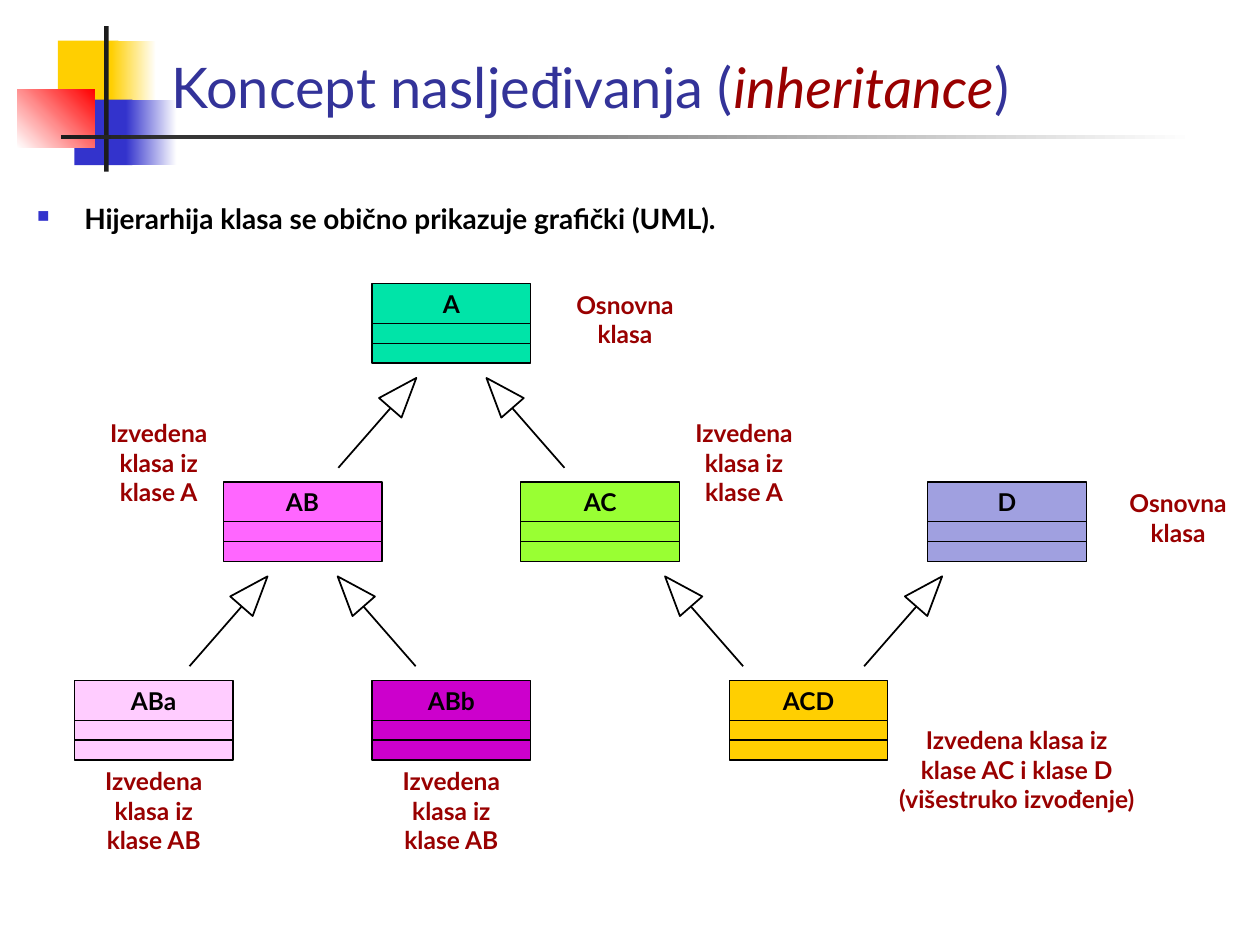
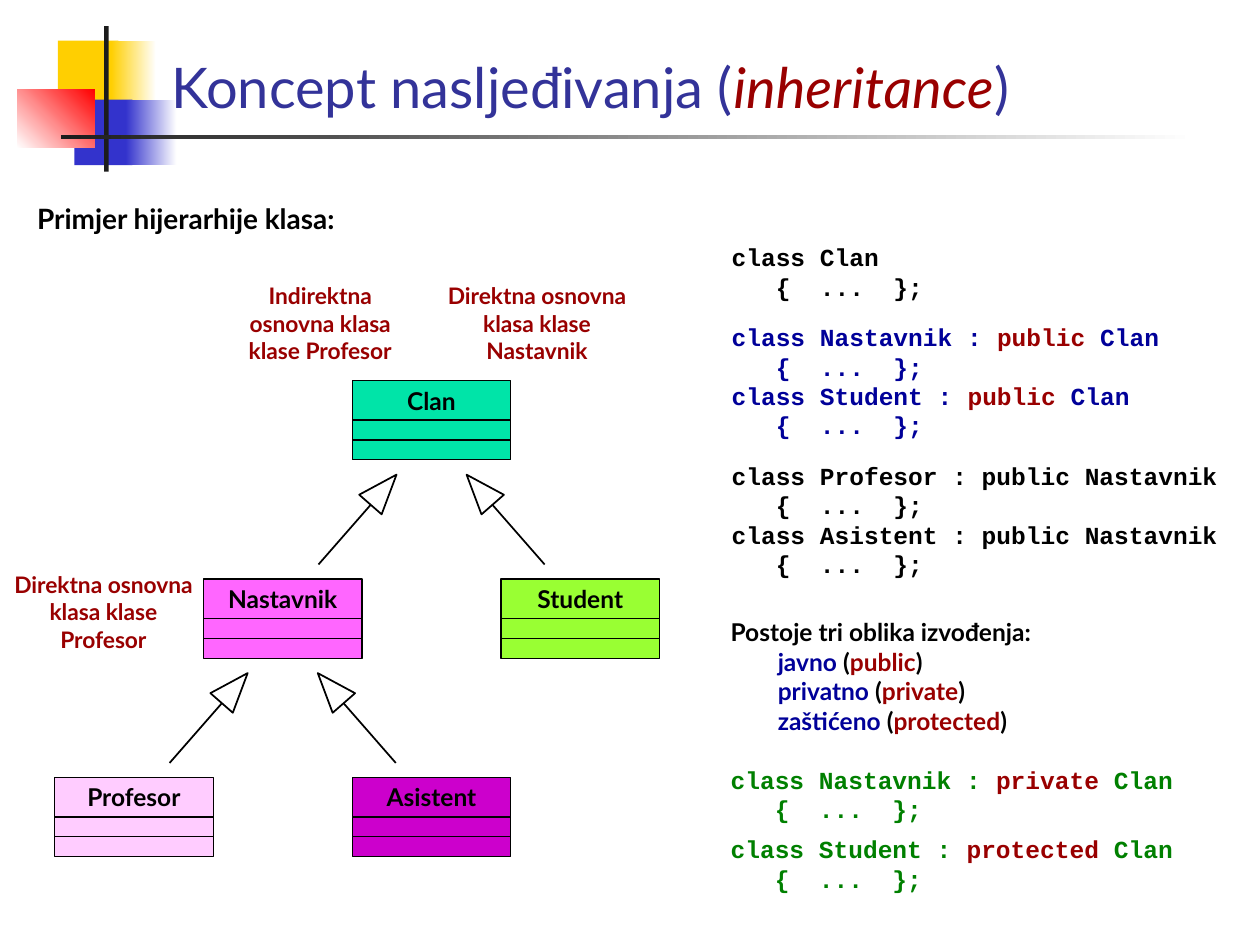
import dataclasses

import lxml.etree
import pptx
import pptx.dml.color
import pptx.enum.shapes
import pptx.enum.text
import pptx.oxml.ns
import pptx.util

Cm = pptx.util.Cm
Pt = pptx.util.Pt
RECTANGLE = pptx.enum.shapes.MSO_SHAPE.RECTANGLE
TRIANGLE = pptx.enum.shapes.MSO_SHAPE.ISOSCELES_TRIANGLE
STRAIGHT = pptx.enum.shapes.MSO_CONNECTOR.STRAIGHT
ALIGN = pptx.enum.text.PP_ALIGN
ANCHOR = pptx.enum.text.MSO_ANCHOR


@dataclasses.dataclass(frozen=True)
class Theme:
    sans: str = "Lato"
    mono: str = "Courier New"
    title_size: float = 32
    lead_size: float = 16
    body_size: float = 14
    small_size: float = 13
    code_leading: float = 16.8
    black: str = "000000"
    white: str = "FFFFFF"
    ink: str = "1C1C1C"
    title: str = "333399"
    accent: str = "990000"
    navy: str = "000099"
    green: str = "008000"
    blue: str = "3333CC"
    red: str = "FF0000"
    gold: str = "FFCF01"
    mint: str = "00E4A8"
    pink: str = "FF66FF"
    lime: str = "99FF33"
    blush: str = "FFCCFF"
    purple: str = "CC00CC"
    lavender: str = "A0A0E0"


def rgb(colour):
    return pptx.dml.color.RGBColor.from_string(colour)


class Slides:
    """Holds the theme and the current page, and draws each kind of element on it."""

    box_width = 3.2
    head_height = 0.8
    row_height = 0.4

    def __init__(self, theme):
        self.theme = theme
        self.deck = pptx.Presentation()
        self.deck.slide_width = Cm(25.4)
        self.deck.slide_height = Cm(19.05)
        self.page = None

    def new_page(self):
        theme = self.theme
        self.page = self.deck.slides.add_slide(self.deck.slide_layouts[6])
        self.rect(1.17, 0.82, 1.22, 1.32, theme.gold)
        self.fade(2.24, 0.82, 0.91, 1.32, theme.gold, theme.white)
        self.rect(1.5, 2.01, 1.17, 1.32, theme.blue)
        self.fade(2.54, 2.01, 1.02, 1.32, theme.blue, theme.white)
        self.fade(0.35, 1.8, 1.56, 1.18, theme.white, theme.red, 45)
        self.rect(2.1, 0.53, 0.09, 2.93, theme.ink)
        self.fade(1.23, 2.73, 22.86, 0.08, theme.ink, theme.white)
        frame = self.text_frame(3.2, 0.33, 22.2, 2.2)
        frame.vertical_anchor = ANCHOR.BOTTOM
        para = self.add_text(frame, ["Koncept nasljeđivanja (", ("inheritance", theme.accent), ")"],
                             theme.title_size, theme.title, bold=False)
        para.runs[1].font.italic = True

    def shape(self, kind, left, top, width, height):
        shape = self.page.shapes.add_shape(kind, Cm(left), Cm(top), Cm(width), Cm(height))
        shape.shadow.inherit = False
        return shape

    def outline(self, shape, weight):
        shape.line.color.rgb = rgb(self.theme.black)
        shape.line.width = Pt(weight)

    def rect(self, left, top, width, height, colour):
        shape = self.shape(RECTANGLE, left, top, width, height)
        shape.fill.solid()
        shape.fill.fore_color.rgb = rgb(colour)
        shape.line.fill.background()
        return shape

    def fade(self, left, top, width, height, start, end, angle=0):
        shape = self.rect(left, top, width, height, start)
        shape.fill.gradient()
        shape.fill.gradient_angle = angle
        for stop, colour, position in zip(shape.fill.gradient_stops, (start, end), (0, 1)):
            stop.color.rgb = rgb(colour)
            stop.position = position

    def text_frame(self, left, top, width, height):
        box = self.page.shapes.add_textbox(Cm(left), Cm(top), Cm(width), Cm(height))
        box.text_frame.word_wrap = True
        return box.text_frame

    def add_text(self, frame, spans, size, colour, font=None, bold=True, align=ALIGN.LEFT,
                 before=0, indent=0, bullet=False):
        first = frame.paragraphs[0]
        para = first if not first.runs else frame.add_paragraph()
        para.alignment = align
        if before:
            para.space_before = Pt(before)
        if font == self.theme.mono:
            para.line_spacing = Pt(self.theme.code_leading)
        properties = para._p.get_or_add_pPr()
        if indent:
            properties.set("marL", str(Cm(indent)))
        if bullet:
            properties.set("indent", str(-Cm(indent)))
            self.add_bullet(properties)
        para.font.name = font or self.theme.sans
        para.font.size = Pt(size)
        para.font.bold = bold
        mixed = any(isinstance(span, tuple) for span in spans)
        if not mixed:
            para.font.color.rgb = rgb(colour)
        for span in spans:
            text, tint = span if isinstance(span, tuple) else (span, colour)
            run = para.add_run()
            run.text = text
            if mixed:
                run.font.color.rgb = rgb(tint)
        return para

    def add_bullet(self, properties):
        qn = pptx.oxml.ns.qn
        tint = lxml.etree.SubElement(properties, qn("a:buClr"))
        lxml.etree.SubElement(tint, qn("a:srgbClr"), val=self.theme.blue)
        lxml.etree.SubElement(properties, qn("a:buSzPct"), val="60000")
        lxml.etree.SubElement(properties, qn("a:buChar"), char="■")

    def lead(self, text, bullet=False):
        frame = self.text_frame(0.5, 3.94, 24.2, 1.6)
        self.add_text(frame, [text], self.theme.lead_size, self.theme.black,
                      indent=0.95 if bullet else 0, bullet=bullet)

    def label(self, left, top, width, *lines, size=None):
        size = size or self.theme.body_size
        frame = self.text_frame(left, top, width, 2)
        for line in lines:
            self.add_text(frame, [line], size, self.theme.accent, align=ALIGN.CENTER)

    def class_box(self, left, top, name, colour):
        head = self.rect(left, top, self.box_width, self.head_height, colour)
        self.outline(head, 0.75)
        head.text_frame.word_wrap = False
        head.text_frame.vertical_anchor = ANCHOR.MIDDLE
        self.add_text(head.text_frame, [name], self.theme.body_size, self.theme.black,
                      align=ALIGN.CENTER)
        for row in range(2):
            row_top = top + self.head_height + row * self.row_height
            self.outline(self.rect(left, row_top, self.box_width, self.row_height, colour), 0.75)

    def inherit_arrow(self, left, top, side, spread=0):
        middle = left + self.box_width / 2
        tip = self.shape(TRIANGLE, middle + side * (0.97 + spread) - 0.3, top + 1.8, 0.6, 0.8)
        tip.rotation = -41.1 * side % 360
        tip.fill.background()
        self.outline(tip, 1)
        line = self.page.shapes.add_connector(
            STRAIGHT, Cm(middle + side * (1.23 + spread)), Cm(top + 2.51),
            Cm(middle + side * (2.28 + spread)), Cm(top + 3.71))
        self.outline(line, 1)
        lxml.etree.SubElement(line._element.spPr, pptx.oxml.ns.qn("a:effectLst"))

    def class_tree(self, left, top, names):
        theme = self.theme
        places = [(0, 0), (-3, 4), (3, 4), (-6, 8), (0, 8)]
        colours = [theme.mint, theme.pink, theme.lime, theme.blush, theme.purple]
        for name, (across, down), colour in zip(names, places, colours):
            self.class_box(left + across, top + down, name, colour)
        for across, down in places[:2]:
            for side in (-1, 1):
                self.inherit_arrow(left + across, top + down, side)

    def code(self, frame, head, colour, before=0):
        for spans, gap in ((head, before), (["   {  ...  };"], 0)):
            self.add_text(frame, spans, self.theme.body_size, colour, self.theme.mono, before=gap)


def uml_page(slides):
    theme = slides.theme
    left, top = 7.5, 5.72
    slides.new_page()
    slides.lead("Hijerarhija klasa se obično prikazuje grafički (UML).", bullet=True)
    slides.class_tree(left, top, ["A", "AB", "AC", "ABa", "ABb"])
    slides.class_box(left + 11.2, top + 4, "D", theme.lavender)
    slides.class_box(left + 7.2, top + 8, "ACD", theme.gold)
    slides.inherit_arrow(left + 3, top + 4, 1, spread=0.6)
    slides.inherit_arrow(left + 11.2, top + 4, -1, spread=0.6)
    for label_left, label_top, width in ((11.1, top, 3), (22.1, top + 4, 3.3)):
        slides.label(label_left, label_top, width, "Osnovna klasa")
    for label_left in (1.7, 13.5):
        slides.label(label_left, 8.31, 3, "Izvedena klasa iz klase A")
    for label_left in (left - 6, left):
        slides.label(label_left, 15.32, 3.2, "Izvedena klasa iz klase AB")
    slides.label(17.3, 14.5, 6.4, "Izvedena klasa iz", "klase AC i klase D",
                 "(višestruko izvođenje)")


def example_page(slides):
    theme = slides.theme
    slides.new_page()
    slides.lead("Primjer hijerarhije klasa:")
    slides.class_tree(7.1, 7.67, ["Clan", "Nastavnik", "Student", "Profesor", "Asistent"])
    for left, top, text in (
        (0, 11.38, "Direktna osnovna klasa klase Profesor"),
        (8.74, 5.56, "Direktna osnovna klasa klase Nastavnik"),
        (4.37, 5.56, "Indirektna osnovna klasa klase Profesor"),
    ):
        slides.label(left, top, 4.17, text, size=theme.small_size)

    def derived(name, access):
        return [f"class {name} : ", (access, theme.accent), " Clan"]

    frame = slides.text_frame(14.5, 4.76, 10.6, 7.2)
    slides.code(frame, ["class Clan"], theme.black)
    for name, gap in (("Nastavnik", 12), ("Student", 0)):
        slides.code(frame, derived(name, "public"), theme.navy, gap)
    for name, gap in (("Profesor", 12), ("Asistent", 0)):
        slides.code(frame, [f"class {name} : public Nastavnik"], theme.black, gap)

    frame = slides.text_frame(14.48, 12.32, 10.6, 6.3)
    slides.add_text(frame, ["Postoje tri oblika izvođenja:"], theme.body_size, theme.black)
    for word, access in (("javno", "public"), ("privatno", "private"),
                         ("zaštićeno", "protected")):
        slides.add_text(frame, [(word, theme.navy), " (", (access, theme.accent), ")"],
                        theme.body_size, theme.black, indent=0.95)
    slides.code(frame, derived("Nastavnik", "private"), theme.green, 17)
    slides.code(frame, derived("Student", "protected"), theme.green, 6)


def main():
    slides = Slides(Theme())
    uml_page(slides)
    example_page(slides)
    slides.deck.save("out.pptx")


if __name__ == "__main__":
    main()
